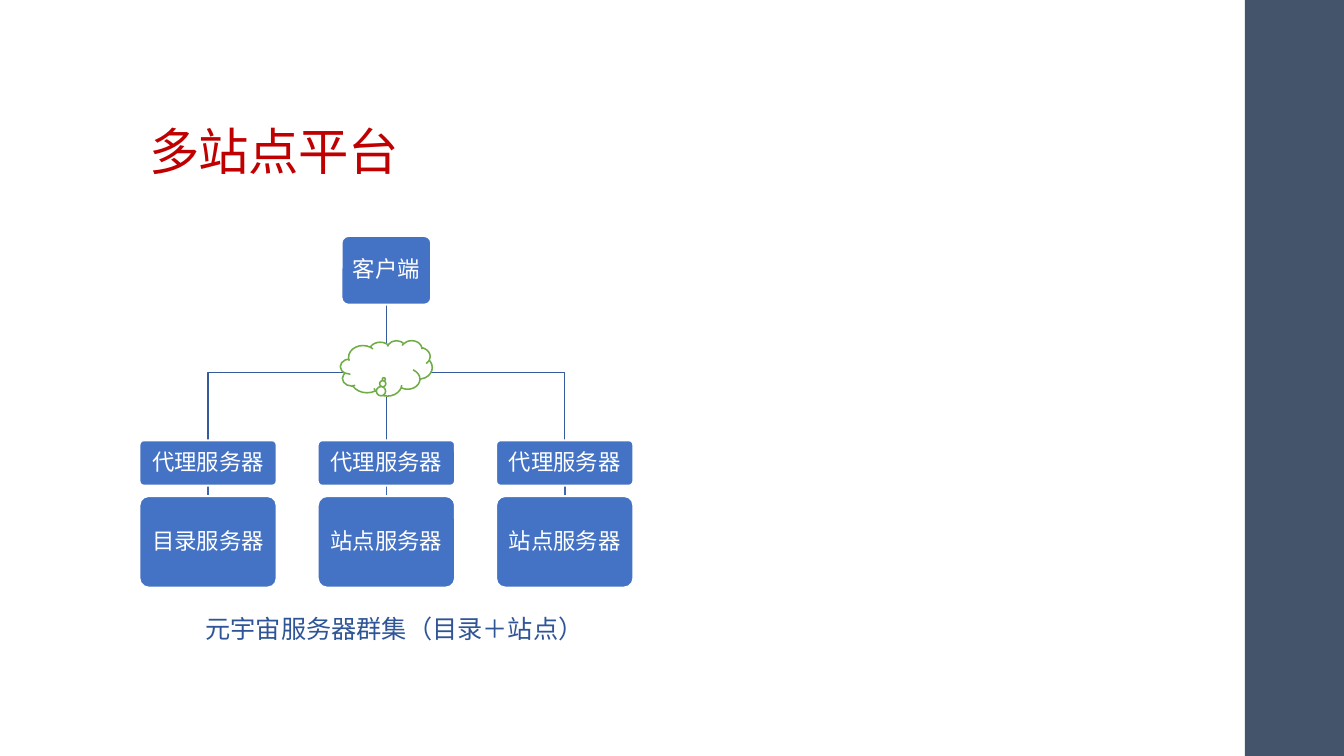
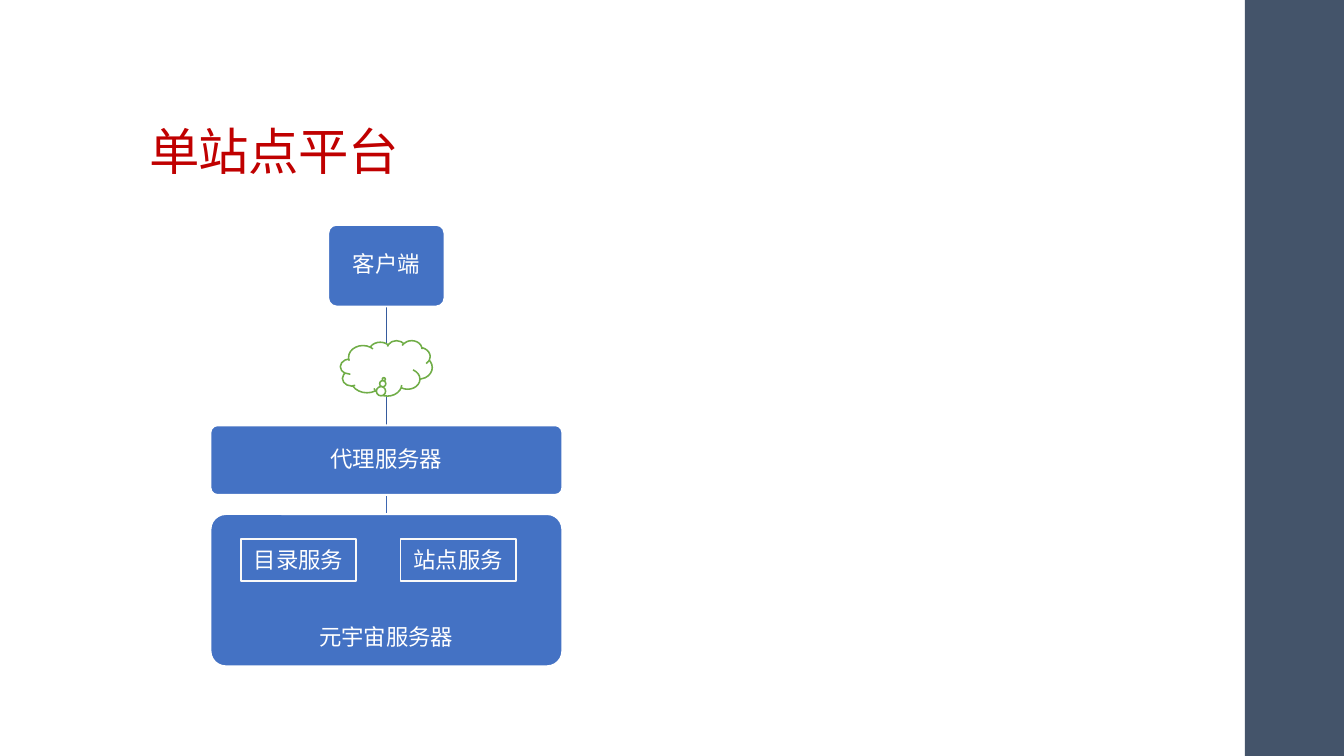
from pptx import Presentation
from pptx.dml.color import RGBColor
from pptx.enum.shapes import MSO_CONNECTOR, MSO_SHAPE
from pptx.enum.text import MSO_ANCHOR, MSO_AUTO_SIZE, PP_ALIGN
from pptx.oxml.ns import qn
from pptx.util import Pt
from lxml import etree

RECTANGLE = MSO_SHAPE.RECTANGLE
ROUNDED = MSO_SHAPE.ROUNDED_RECTANGLE
CLOUD = MSO_SHAPE.CLOUD_CALLOUT
STRAIGHT = MSO_CONNECTOR.STRAIGHT
MIDDLE, BOTTOM = MSO_ANCHOR.MIDDLE, MSO_ANCHOR.BOTTOM
LEFT, CENTER = PP_ALIGN.LEFT, PP_ALIGN.CENTER
NO_AUTOFIT = MSO_AUTO_SIZE.NONE

WHITE = RGBColor(0xFF, 0xFF, 0xFF)
OFF_WHITE = RGBColor(0xF9, 0xF9, 0xF9)
SLATE = RGBColor(0x44, 0x54, 0x6A)
RED = RGBColor(0xC0, 0x00, 0x00)
BLUE = RGBColor(0x44, 0x72, 0xC4)
DARK_BLUE = RGBColor(0x2F, 0x55, 0x97)
TRUNK_BLUE = RGBColor(0x36, 0x5B, 0x9D)
LINK_BLUE = RGBColor(0x3E, 0x67, 0xB2)
GREEN = RGBColor(0x70, 0xAD, 0x47)

FONT = "Noto Sans CJK SC"
TITLE_ONLY = 5
SLIDE_WIDTH, SLIDE_HEIGHT = 960, 540
BAND_LEFT = 889.2
AXIS = 276  # centre line of both diagrams
LINE_WIDTH, EDGE_WIDTH = 1.1, 1.35

TITLE_PLACE = dict(left=Pt(99.4), top=Pt(20.9), width=Pt(763), height=Pt(112.3))
TITLE_FRAME = dict(vertical_anchor=BOTTOM, auto_size=NO_AUTOFIT, word_wrap=True,
                   margin_left=Pt(7.2), margin_right=Pt(7.2),
                   margin_top=Pt(2.2), margin_bottom=Pt(3.6))
NODE_FRAME = dict(vertical_anchor=MIDDLE, word_wrap=True,
                  margin_left=Pt(6), margin_right=Pt(6),
                  margin_top=Pt(6), margin_bottom=Pt(6))
NODE_PARAGRAPH = dict(alignment=CENTER, line_spacing=0.9, space_after=Pt(5.6))


def apply(target, formats):
    for name, value in formats.items():
        setattr(target, name, value)


class Deck:
    """Holds the shared style and the current slide."""

    def __init__(self):
        self.presentation = Presentation()
        apply(self.presentation, dict(slide_width=Pt(SLIDE_WIDTH),
                                      slide_height=Pt(SLIDE_HEIGHT)))
        self.layout = self.presentation.slide_layouts[TITLE_ONLY]
        apply(self.layout.placeholders[0], TITLE_PLACE)
        self.slide = None

    def add_slide(self, title):
        first = self.slide is None
        self.slide = self.presentation.slides.add_slide(self.layout)
        if first:
            self.move_band_to_layout()
        shape = self.slide.shapes.title
        self.set_text(shape, title, 36, RED, TITLE_FRAME,
                      dict(alignment=LEFT, line_spacing=0.9))
        for properties in shape.element.iter(qn("a:rPr")):
            properties.set("spc", "-50")

    def move_band_to_layout(self):
        band = self.box(RECTANGLE, BAND_LEFT, 0, SLIDE_WIDTH - BAND_LEFT,
                        SLIDE_HEIGHT, SLATE)
        self.layout.shapes.element.insert(2, band.element)

    def set_text(self, shape, text, size, color, frame_format,
                 paragraph_format):
        frame = shape.text_frame
        apply(frame, frame_format)
        paragraph = frame.paragraphs[0]
        apply(paragraph, paragraph_format)
        run = paragraph.add_run()
        run.text = text
        apply(run.font, dict(name=FONT, size=Pt(size)))
        run.font.color.rgb = color
        # East Asian text needs its own typeface entry
        for latin in shape.element.iter(qn("a:latin")):
            east_asian = etree.Element(qn("a:ea"), typeface=FONT)
            latin.addnext(east_asian)

    def box(self, kind, left, top, width, height, fill, edge=None,
            edge_width=EDGE_WIDTH):
        shape = self.slide.shapes.add_shape(kind, Pt(left), Pt(top),
                                            Pt(width), Pt(height))
        shape.shadow.inherit = False
        shape.fill.solid()
        shape.fill.fore_color.rgb = fill
        if edge is None:
            shape.line.fill.background()
        else:
            shape.line.color.rgb = edge
            shape.line.width = Pt(edge_width)
        return shape

    def node(self, text, center, top, width, height, **frame_changes):
        shape = self.box(ROUNDED, center - width / 2, top, width, height,
                         BLUE, WHITE)
        shape.adjustments[0] = 0.1
        self.set_text(shape, text, 16, WHITE, {**NODE_FRAME, **frame_changes},
                      NODE_PARAGRAPH)

    def service(self, text, left, top, width, height):
        shape = self.box(RECTANGLE, left, top, width, height, BLUE, OFF_WHITE)
        self.set_text(shape, text, 16, WHITE,
                      dict(vertical_anchor=MIDDLE, word_wrap=True),
                      dict(alignment=CENTER))

    def cloud(self):
        width = 65.6
        shape = self.box(CLOUD, AXIS - width / 2, 243.2, width, 39.6,
                         WHITE, GREEN, LINE_WIDTH)
        shape.adjustments[0], shape.adjustments[1] = -0.028, 0.199

    def link(self, center, top, bottom, color):
        connector = self.slide.shapes.add_connector(
            STRAIGHT, Pt(center), Pt(top), Pt(center), Pt(bottom))
        connector.line.color.rgb = color
        connector.line.width = Pt(LINE_WIDTH)
        etree.SubElement(connector.element.spPr, qn("a:effectLst"))

    def branch(self, center, top, bend, bottom):
        builder = self.slide.shapes.build_freeform(Pt(AXIS), Pt(top))
        corners = [(AXIS, bend), (center, bend), (center, bottom)]
        builder.add_line_segments([(Pt(x), Pt(y)) for x, y in corners],
                                  close=False)
        shape = builder.convert_to_shape()
        shape.shadow.inherit = False
        shape.fill.background()
        shape.line.color.rgb = TRUNK_BLUE
        shape.line.width = Pt(LINE_WIDTH)

    def caption(self, text, left, top, width, height):
        shape = self.slide.shapes.add_textbox(Pt(left), Pt(top),
                                              Pt(width), Pt(height))
        self.set_text(shape, text, 18, DARK_BLUE, dict(word_wrap=True),
                      dict(alignment=LEFT))


def multi_site(deck):
    deck.add_slide("多站点平台")
    client_top, client_height = 168.6, 49
    proxy_top, proxy_height = 314.5, 32.4
    server_top, server_height = 354.4, 65.3
    client_bottom = client_top + client_height
    column_step, column_width = 127.4, 98

    # One column per server, fanning out from the client
    servers = ["目录服务器", "站点服务器", "站点服务器"]
    for index, server in enumerate(servers):
        center = AXIS + (index - 1) * column_step
        if center == AXIS:
            deck.link(center, client_bottom, proxy_top, TRUNK_BLUE)
        else:
            deck.branch(center, client_bottom, 266.3, proxy_top)
        deck.link(center, proxy_top + proxy_height, server_top, LINK_BLUE)
        deck.node("代理服务器", center, proxy_top, column_width, proxy_height)
        deck.node(server, center, server_top, column_width, server_height)
    deck.node("客户端", AXIS, client_top, 64, client_height)

    deck.cloud()
    deck.caption("元宇宙服务器群集（目录＋站点）", 139.7, 434.2, 312.5, 29)


def single_site(deck):
    deck.add_slide("单站点平台")
    client_top, client_height = 160.6, 58.3
    proxy_top, proxy_height = 303.8, 49.7
    server_top, server_height = 367.2, 108.7
    wide = 251.3

    # Chain from client to server
    deck.link(AXIS, client_top + client_height, proxy_top, TRUNK_BLUE)
    deck.link(AXIS, proxy_top + proxy_height, server_top, LINK_BLUE)
    deck.node("客户端", AXIS, client_top, 83, client_height)
    deck.node("代理服务器", AXIS, proxy_top, wide, proxy_height)
    deck.node("元宇宙服务器", AXIS, server_top, wide, server_height,
              vertical_anchor=BOTTOM, margin_bottom=Pt(8))

    # Services inside the server
    for index, name in enumerate(["目录服务", "站点服务"]):
        deck.service(name, 172.1 + index * 114, 385.2, 82.3, 29.5)
    deck.cloud()


def main():
    deck = Deck()
    multi_site(deck)
    single_site(deck)
    deck.presentation.save("out.pptx")


if __name__ == "__main__":
    main()
